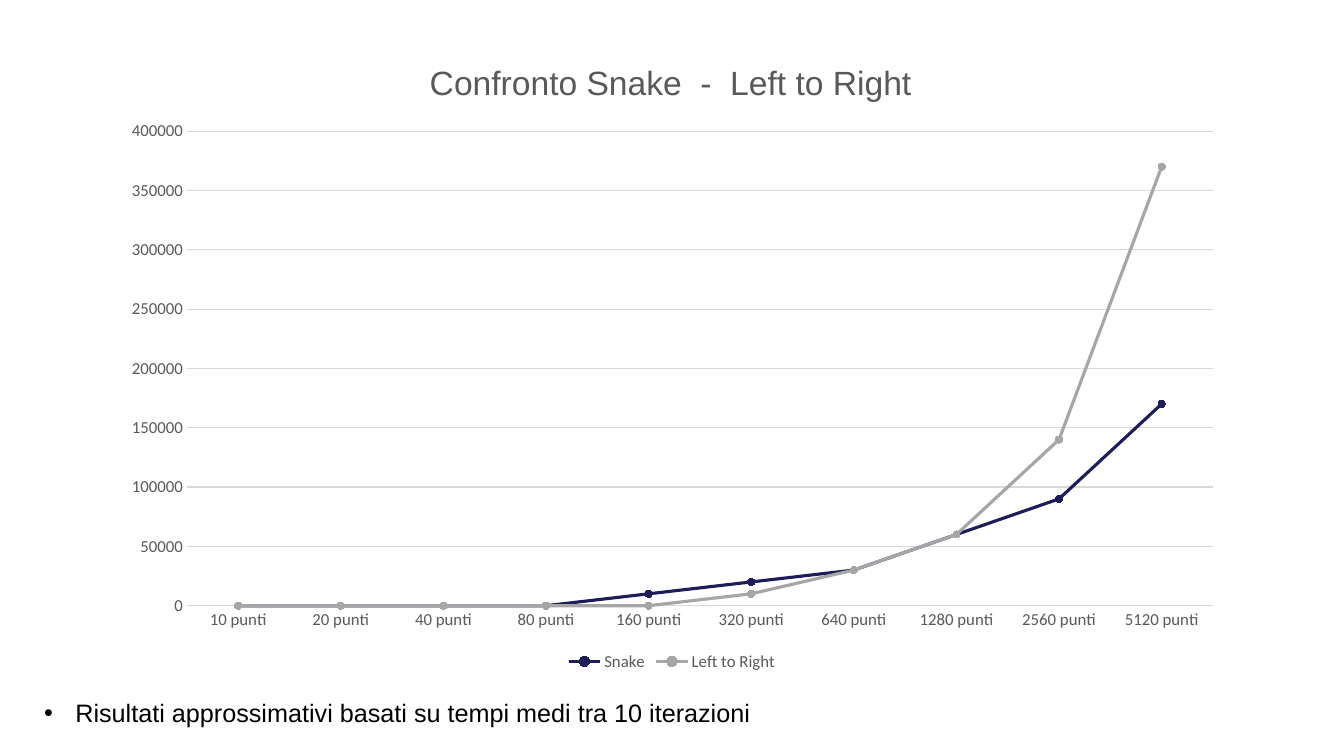
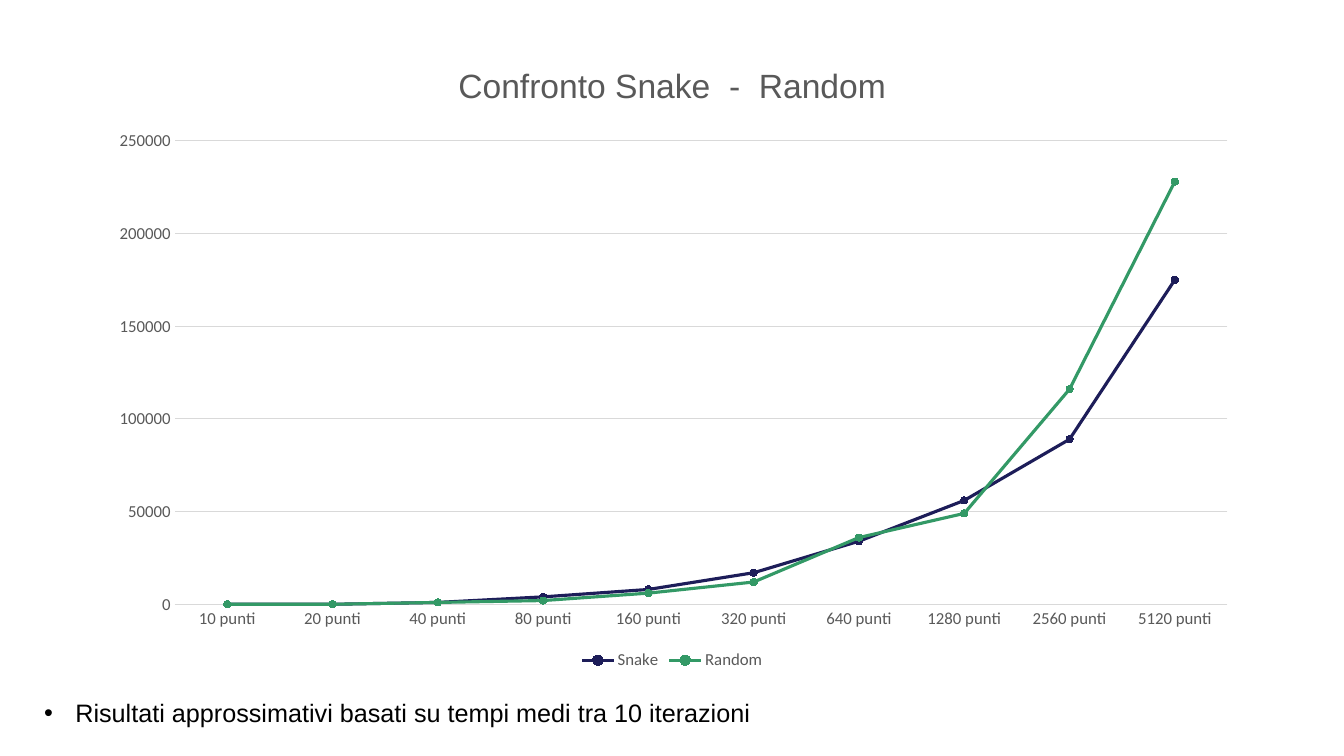
from dataclasses import dataclass

from lxml import etree
from pptx import Presentation
from pptx.chart.data import CategoryChartData
from pptx.dml.color import RGBColor
from pptx.enum import chart as chart_enum, text as text_enum
from pptx.oxml import ns
from pptx.util import Cm, Pt


@dataclass(frozen=True)
class Theme:
    """Colours, fonts and type sizes of the whole deck."""
    background: str = "FFFFFF"
    body: str = "000000"
    muted: str = "595959"
    grid: str = "D9D9D9"
    navy: str = "1D1D59"
    gray: str = "A6A6A6"
    green: str = "339966"
    text_font: str = "Arial"
    chart_font: str = "Calibri"
    title_size: int = 24
    body_size: int = 18
    label_size: int = 12
    series_width: float = 2.25
    grid_width: float = 0.75
    marker_size: int = 5


THEME = Theme()
CATEGORIES = [f"{10 * 2 ** step} punti" for step in range(10)]
NOTE = "Risultati approssimativi basati su tempi medi tra 10 iterazioni"

# One entry per slide; each series is name, colour, values
COMPARISONS = [
    dict(title="Confronto Snake  -  Left to Right",
         series_list=[
             ("Snake", THEME.navy,
              [0, 0, 0, 0, 10000, 20000, 30000, 60000, 90000, 170000]),
             ("Left to Right", THEME.gray,
              [0, 0, 0, 0, 0, 10000, 30000, 60000, 140000, 370000])],
         box=(2.72, 1.07, 28.42, 15.95), maximum=400000,
         title_at=(0.28, 0.02), plot_at=(0.07, 0.14, 0.91, 0.75)),
    dict(title="Confronto Snake  -  Random",
         series_list=[
             ("Snake", THEME.navy,
              [0, 0, 1000, 4000, 8000, 17000, 34000, 56000, 89000, 175000]),
             ("Random", THEME.green,
              [0, 0, 1000, 2000, 6000, 12000, 36000, 49000, 116000, 228000])],
         box=(2.36, 0.99, 29.16, 16), maximum=250000,
         title_at=(0.31, 0.03), plot_at=(0.07, 0.16, 0.91, 0.73)),
]


class Deck:
    def __init__(self, theme):
        self.theme = theme
        self.presentation = Presentation()
        self.presentation.slide_width = Cm(33.87)
        self.presentation.slide_height = Cm(19.05)
        self.slide = None

    def add_slide(self):
        blank_layout = self.presentation.slide_layouts[6]
        self.slide = self.presentation.slides.add_slide(blank_layout)
        fill = self.slide.background.fill
        fill.solid()
        fill.fore_color.rgb = RGBColor.from_string(self.theme.background)

    def style_font(self, font, name, size, color):
        font.name = name
        font.size = Pt(size)
        font.bold = False
        font.color.rgb = RGBColor.from_string(color)

    def style_line(self, line, color, width):
        line.color.rgb = RGBColor.from_string(color)
        line.width = Pt(width)

    def set_layout(self, element, index, settings):
        """Place a chart part by fractions of the chart area."""
        old_layout = element.find(ns.qn("c:layout"))
        if old_layout is not None:
            element.remove(old_layout)
        layout = etree.Element(ns.qn("c:layout"))
        manual = etree.SubElement(layout, ns.qn("c:manualLayout"))
        for tag, value in settings.items():
            etree.SubElement(manual, ns.qn(f"c:{tag}")).set("val", str(value))
        element.insert(index, layout)

    def add_line_chart(self, title, series_list, box, maximum, title_at, plot_at):
        theme = self.theme
        data = CategoryChartData()
        data.categories = CATEGORIES
        for name, _, values in series_list:
            data.add_series(name, values)
        chart = self.slide.shapes.add_chart(
            chart_enum.XL_CHART_TYPE.LINE_MARKERS,
            *(Cm(length) for length in box), data).chart
        self.style_font(chart.font, theme.chart_font, theme.label_size, theme.muted)

        # Title and plot area
        chart.has_title = True
        title_paragraph = chart.chart_title.text_frame.paragraphs[0]
        title_paragraph.text = title
        self.style_font(title_paragraph.runs[0].font, theme.text_font,
                        theme.title_size, theme.muted)
        edges = {"xMode": "edge", "yMode": "edge"}
        self.set_layout(chart.chart_title._element, 1,
                        {**edges, **dict(zip("xy", title_at))})
        self.set_layout(chart._chartSpace.chart.plotArea, 0,
                        {"layoutTarget": "inner", **edges,
                         **dict(zip("xywh", plot_at))})

        # Axes
        category_axis, value_axis = chart.category_axis, chart.value_axis
        for axis in (category_axis, value_axis):
            axis.major_tick_mark = chart_enum.XL_TICK_MARK.NONE
            axis.minor_tick_mark = chart_enum.XL_TICK_MARK.NONE
            self.style_font(axis.tick_labels.font, theme.chart_font,
                            theme.label_size, theme.muted)
        self.style_line(category_axis.format.line, theme.grid, theme.grid_width)
        value_axis.format.line.fill.background()
        value_axis.minimum_scale = 0
        value_axis.maximum_scale = maximum
        value_axis.major_unit = 50000
        self.style_line(value_axis.major_gridlines.format.line,
                        theme.grid, theme.grid_width)

        # Legend
        chart.has_legend = True
        chart.legend.position = chart_enum.XL_LEGEND_POSITION.BOTTOM
        chart.legend.include_in_layout = False
        self.style_font(chart.legend.font, theme.chart_font,
                        theme.label_size, theme.muted)

        # Series
        chart.plots[0].vary_by_categories = False
        for series, (_, color, _) in zip(chart.plots[0].series, series_list):
            series.smooth = False
            self.style_line(series.format.line, color, theme.series_width)
            marker = series.marker
            marker.style = chart_enum.XL_MARKER_STYLE.CIRCLE
            marker.size = theme.marker_size
            marker.format.fill.solid()
            marker.format.fill.fore_color.rgb = RGBColor.from_string(color)
            self.style_line(marker.format.line, color, theme.grid_width)

    def add_bullet_note(self, note):
        box = self.slide.shapes.add_textbox(Cm(0.86), Cm(17.45), Cm(19.25), Cm(1.02))
        frame = box.text_frame
        frame.word_wrap = True
        frame.auto_size = text_enum.MSO_AUTO_SIZE.SHAPE_TO_FIT_TEXT
        frame.text = note
        paragraph = frame.paragraphs[0]
        properties = paragraph._p.get_or_add_pPr()
        properties.set("marL", str(Cm(0.79)))
        properties.set("indent", str(-Cm(0.79)))
        etree.SubElement(properties, ns.qn("a:buFont")).set(
            "typeface", self.theme.text_font)
        etree.SubElement(properties, ns.qn("a:buChar")).set("char", "•")
        self.style_font(paragraph.runs[0].font, self.theme.text_font,
                        self.theme.body_size, self.theme.body)


def main():
    deck = Deck(THEME)
    for comparison in COMPARISONS:
        deck.add_slide()
        deck.add_line_chart(**comparison)
        deck.add_bullet_note(NOTE)
    deck.presentation.save("out.pptx")


if __name__ == "__main__":
    main()
